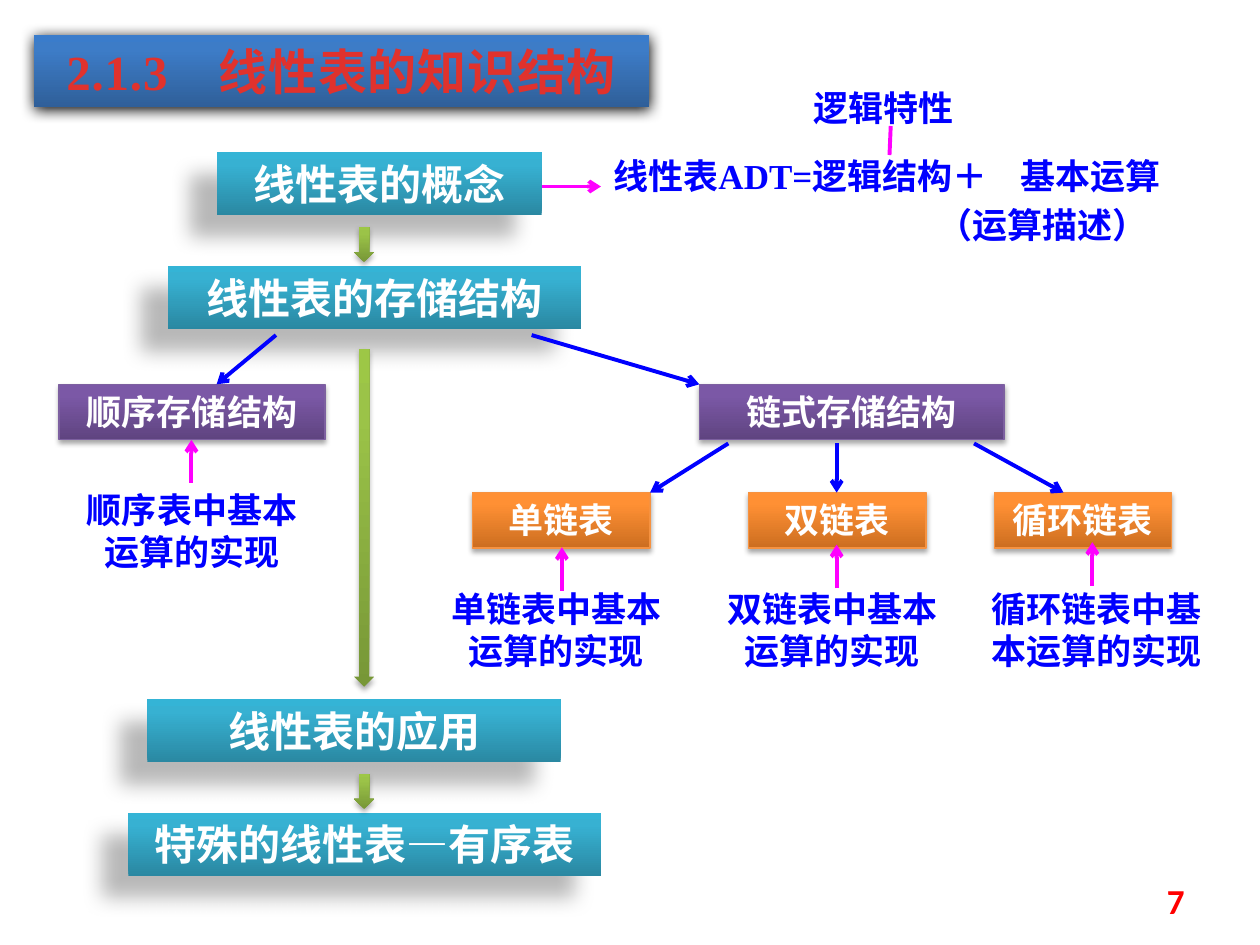
from dataclasses import dataclass

from lxml.etree import SubElement
from pptx import Presentation
from pptx.dml.color import RGBColor
from pptx.enum.shapes import MSO_CONNECTOR as Connector, MSO_SHAPE as Preset
from pptx.enum.text import MSO_ANCHOR as Anchor, PP_ALIGN as Align
from pptx.oxml.ns import qn
from pptx.util import Pt


@dataclass(frozen=True)
class Look:
    stops: tuple  # colours at 0, 80 and 100 %, from the bottom up
    shadow: tuple  # opacity %, blur, distance, direction
    size: int = 20
    color: str = "FFFFFF"
    outline: str = ""


@dataclass(frozen=True)
class Theme:
    cjk: str = "Noto Sans CJK SC"
    serif: str = "Times New Roman"
    number: str = "Calibri"
    body: int = 20
    blue: str = "0000FF"
    magenta: str = "FF00FF"
    red: str = "FF0000"
    title: Look = Look(("2F5F99", "3D7CC7", "3A7CCB"), (100, 8.5, 1, 90), 28, "E0322D")
    step: Look = Look(("2A88A2", "37B1D2", "34B4D6"), (28, 11.8, 19.7, 141), 24)
    flow: Look = Look(("779737", "9BC348", "9DC746"), (35, 3.1, 1.8, 90))
    storage: Look = Look(("5F4480", "7B58A6", "7C57A8"), (35, 3.1, 1.8, 90), outline="7D60A0")
    leaf: Look = Look(("CC6E20", "FF9034", "FF9136"), (35, 3.1, 1.8, 90), outline="F69240")


theme = Theme()


def add_text(shape, text, *, size=theme.body, color=theme.blue, font=theme.cjk,
             align=Align.CENTER, anchor=Anchor.TOP, line=None, before=0,
             indent=0, tab=0, spacing=0):
    """Add one bold paragraph; the first one fills the empty paragraph."""
    frame = shape.text_frame
    frame.word_wrap = True
    frame.vertical_anchor = anchor
    paragraph = frame.add_paragraph() if frame.text else frame.paragraphs[0]
    paragraph.alignment = align
    if line:
        paragraph.line_spacing = Pt(line)
    if before:
        paragraph.space_before = Pt(before)
    properties = paragraph._p.get_or_add_pPr()
    if indent:
        properties.set("marL", str(Pt(indent)))
    if tab:
        tabs = SubElement(properties, qn("a:tabLst"))
        SubElement(tabs, qn("a:tab"), pos=str(Pt(tab)), algn="l")
    run = paragraph.add_run()
    run.text = text
    run.font.size = Pt(size)
    run.font.bold = True
    run.font.color.rgb = RGBColor.from_string(color)
    run.font.name = font
    run_properties = run.font._element
    SubElement(run_properties, qn("a:ea"), typeface=theme.cjk)
    if spacing:
        run_properties.set("spc", str(int(spacing * 100)))


presentation = Presentation()
presentation.slide_width, presentation.slide_height = Pt(720), Pt(540)
slide = presentation.slides.add_slide(presentation.slide_layouts[6])
shapes = slide.shapes

# Rows of the diagram
storage_top, leaf_top, box_height = 219.6, 281.5, 31.7
flow_left, flow_width = 202.3, 11.5
label_width, label_height = 140.4, 55.4

# Linked lists: name, box left, label left, label text, stem x, stem bottom, link from x, link to x
leaves = [
    ("单链表", 270, 247.7, "单链表中基本运算的实现", 321.1, 337.7, 416.2, 371.5),
    ("双链表", 427.7, 405.4, "双链表中基本运算的实现", 478.1, 336.2, 478.1, 478.1),
    ("循环链表", 568.1, 556.6, "循环链表中基本运算的实现", 624.2, 334.8, 556.6, 607.7),
]

# Filled shapes: look, text, left, top, width, height
blocks = [
    (theme.title, "2.1.3\t线性表的知识结构", 19.4, 20.2, 351.4, 41),
    (theme.step, "线性表的概念", 123.8, 87.1, 185.8, 36),
    (theme.step, "线性表的存储结构", 95.8, 151.9, 236.2, 36),
    (theme.step, "线性表的应用", 84.2, 399.6, 236.2, 36),
    (theme.step, "特殊的线性表—有序表", 73.4, 464.4, 270, 36),
    (theme.flow, "", flow_left, 129.6, flow_width, 20.2),
    (theme.flow, "", flow_left, 199.4, flow_width, 193),
    (theme.flow, "", flow_left, 442.1, flow_width, 20.2),
    (theme.storage, "顺序存储结构", 33.8, storage_top, 151.9, box_height),
    (theme.storage, "链式存储结构", 399.6, storage_top, 174.2, box_height),
]
blocks += [(theme.leaf, leaf[0], leaf[1], leaf_top, 101.5, box_height) for leaf in leaves]

for look, text, *place in blocks:
    preset = Preset.DOWN_ARROW if look is theme.flow else Preset.RECTANGLE
    shape = shapes.add_shape(preset, *map(Pt, place))

    # Gradient and outline
    shape.fill.gradient()
    shape.fill.gradient_angle = 90
    properties = shape._element.spPr
    stop_list = properties.find(qn("a:gradFill")).find(qn("a:gsLst"))
    stop_list.clear()
    for position, color in zip((0, 80, 100), look.stops):
        stop = SubElement(stop_list, qn("a:gs"), pos=str(position * 1000))
        SubElement(stop, qn("a:srgbClr"), val=color)
    if look.outline:
        shape.line.color.rgb = RGBColor.from_string(look.outline)
        shape.line.width = Pt(0.75)
    else:
        shape.line.fill.background()

    # Shadow
    shape.shadow.inherit = False
    opacity, blur, distance, direction = look.shadow
    shadow = SubElement(properties.find(qn("a:effectLst")), qn("a:outerShdw"),
                        blurRad=str(Pt(blur)), dist=str(Pt(distance)),
                        dir=str(direction * 60000), algn="ctr", rotWithShape="0")
    shadow_color = SubElement(shadow, qn("a:srgbClr"), val="000000")
    SubElement(shadow_color, qn("a:alpha"), val=str(opacity * 1000))

    # Caption
    if look is theme.title:
        shape.text_frame.margin_left = Pt(18.5)
        add_text(shape, text, size=look.size, color=look.color, font=theme.serif,
                 align=Align.LEFT, tab=87, spacing=0.5)
    elif text:
        add_text(shape, text, size=look.size, color=look.color)

# Labels under the storage structures
labels = [("顺序表中基本运算的实现", 39.6, 275.8)]
labels += [(leaf[3], leaf[2], 331.9) for leaf in leaves]
for text, left, top in labels:
    label = shapes.add_textbox(Pt(left), Pt(top), Pt(label_width), Pt(label_height))
    add_text(label, text)

# Definition of the abstract data type
feature = shapes.add_textbox(Pt(457.9), Pt(46.1), Pt(101.5), Pt(box_height))
add_text(feature, "逻辑特性", align=Align.LEFT)
definition = shapes.add_textbox(Pt(343.4), Pt(90.7), Pt(343.4), Pt(label_height))
add_text(definition, "线性表ADT=逻辑结构＋\t基本运算", font=theme.serif,
         align=Align.LEFT, line=18, tab=232.5)
add_text(definition, "（运算描述）", font=theme.serif, align=Align.LEFT,
         line=18, before=10, indent=185)

# Lines: colour, arrowhead, from x, from y, to x, to y
lines = [
    (theme.magenta, False, 509, 72, 508.3, 88.6),
    (theme.magenta, True, 309.6, 106.6, 343.4, 106.6),
    (theme.magenta, True, 109.4, 275.8, 109.4, 251.3),
    (theme.blue, True, 157.7, 191.5, 123.8, storage_top),
    (theme.blue, True, 303.8, 191.5, 399.6, storage_top),
]
for *_, stem_x, stem_bottom, link_from, link_to in leaves:
    lines.append((theme.magenta, True, stem_x, stem_bottom, stem_x, stem_bottom - 25))
    lines.append((theme.blue, True, link_from, 253.4, link_to, leaf_top))

for color, arrowhead, *ends in lines:
    connector = shapes.add_connector(Connector.STRAIGHT, *map(Pt, ends))
    connector.line.color.rgb = RGBColor.from_string(color)
    connector.line.width = Pt(2.25)
    if arrowhead:
        SubElement(connector.line._get_or_add_ln(), qn("a:tailEnd"), type="arrow")
    SubElement(connector._element.spPr, qn("a:effectLst"))

# Page number
page_number = shapes.add_textbox(Pt(516.2), Pt(500.4), Pt(167.8), Pt(28.8))
add_text(page_number, "7", color=theme.red, font=theme.number,
         align=Align.RIGHT, anchor=Anchor.MIDDLE)

presentation.save("out.pptx")
